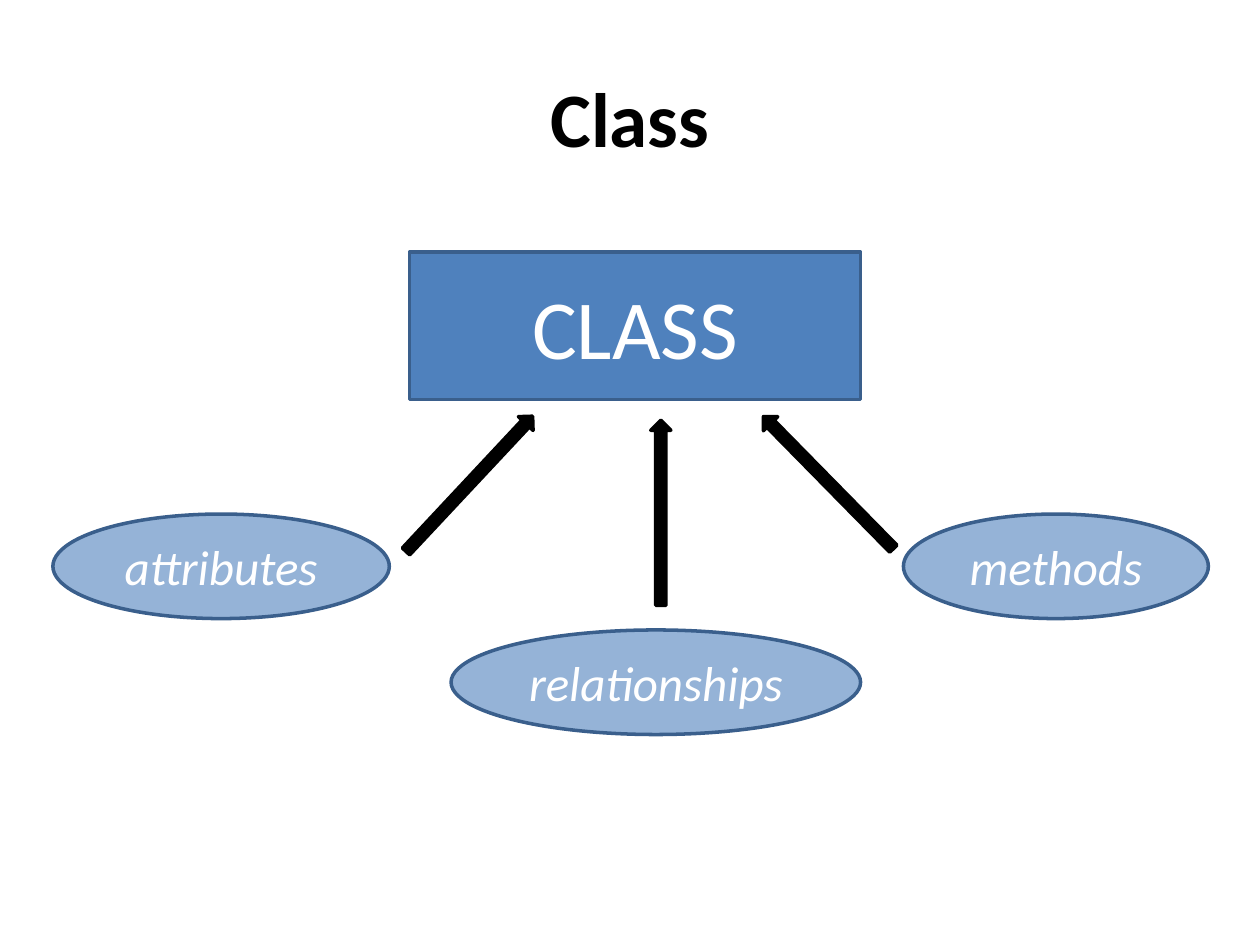
"""Builds a slide showing the three parts that make up a class."""
from pptx import Presentation
from pptx import util as u
from pptx.dml.color import RGBColor
from pptx.enum import shapes, text

FONT = "Calibri"
OUTLINE = "3A5F8C"
SHAPE = shapes.MSO_SHAPE


def rgb(value):
    """Return the colour for a hex string."""
    return RGBColor.from_string(value)


def set_text(sp, value, size, color, bold=False, italic=False):
    """Write one centred, formatted line into a shape."""
    tf = sp.text_frame
    tf.text = value
    tf.word_wrap = True
    tf.vertical_anchor = text.MSO_ANCHOR.MIDDLE
    p = tf.paragraphs[0]
    p.alignment = text.PP_ALIGN.CENTER
    font = p.runs[0].font
    font.name, font.size = FONT, u.Pt(size)
    font.bold, font.italic = bold, italic
    font.color.rgb = rgb(color)


def add_title(s, value):
    """Place and format the slide title."""
    sp = s.shapes.title
    sp.left, sp.top = u.Inches(0.5), u.Inches(0.3)
    sp.width, sp.height = u.Inches(9), u.Inches(1.25)
    set_text(sp, value, 44, "000000", bold=True)


def add_shape(s, kind, box, fill, line):
    """Add a filled and outlined preset shape."""
    sp = s.shapes.add_shape(kind, *map(u.Inches, box))
    sp.shadow.inherit = False
    sp.fill.solid()
    sp.fill.fore_color.rgb = rgb(fill)
    sp.line.color.rgb = rgb(line)
    sp.line.width = u.Pt(2)
    return sp


def add_part(s, value, left, top, width):
    """Add an ellipse naming one part of the class."""
    sp = add_shape(s, SHAPE.OVAL, (left, top, width, 0.83), "95B3D7", OUTLINE)
    set_text(sp, value, 28, "FFFFFF", italic=True)


def add_arrow(s, left, top, angle):
    """Add a block arrow turned by an angle in degrees."""
    box = (left, top, 1.47, 0.16)
    sp = add_shape(s, SHAPE.RIGHT_ARROW, box, "000000", "000000")
    sp.rotation = angle


def main():
    """Build and save the slide."""
    prs = Presentation()
    prs.slide_width, prs.slide_height = u.Inches(10), u.Inches(7.5)
    s = prs.slides.add_slide(prs.slide_layouts[5])
    add_title(s, "Class")
    sp = add_shape(s, SHAPE.RECTANGLE, (3.25, 2, 3.58, 1.17), "4F81BD", OUTLINE)
    set_text(sp, "CLASS", 48, "FFFFFF")
    for part in (
        ("attributes", 0.42, 4.08, 2.67),
        ("relationships", 3.58, 5, 3.25),
        ("methods", 7.17, 4.08, 2.42),
    ):
        add_part(s, *part)
    for arrow in ((2.99, 3.76, 313.1), (4.51, 3.99, 270), (5.84, 3.75, 225.5)):
        add_arrow(s, *arrow)
    prs.save("out.pptx")


main()
